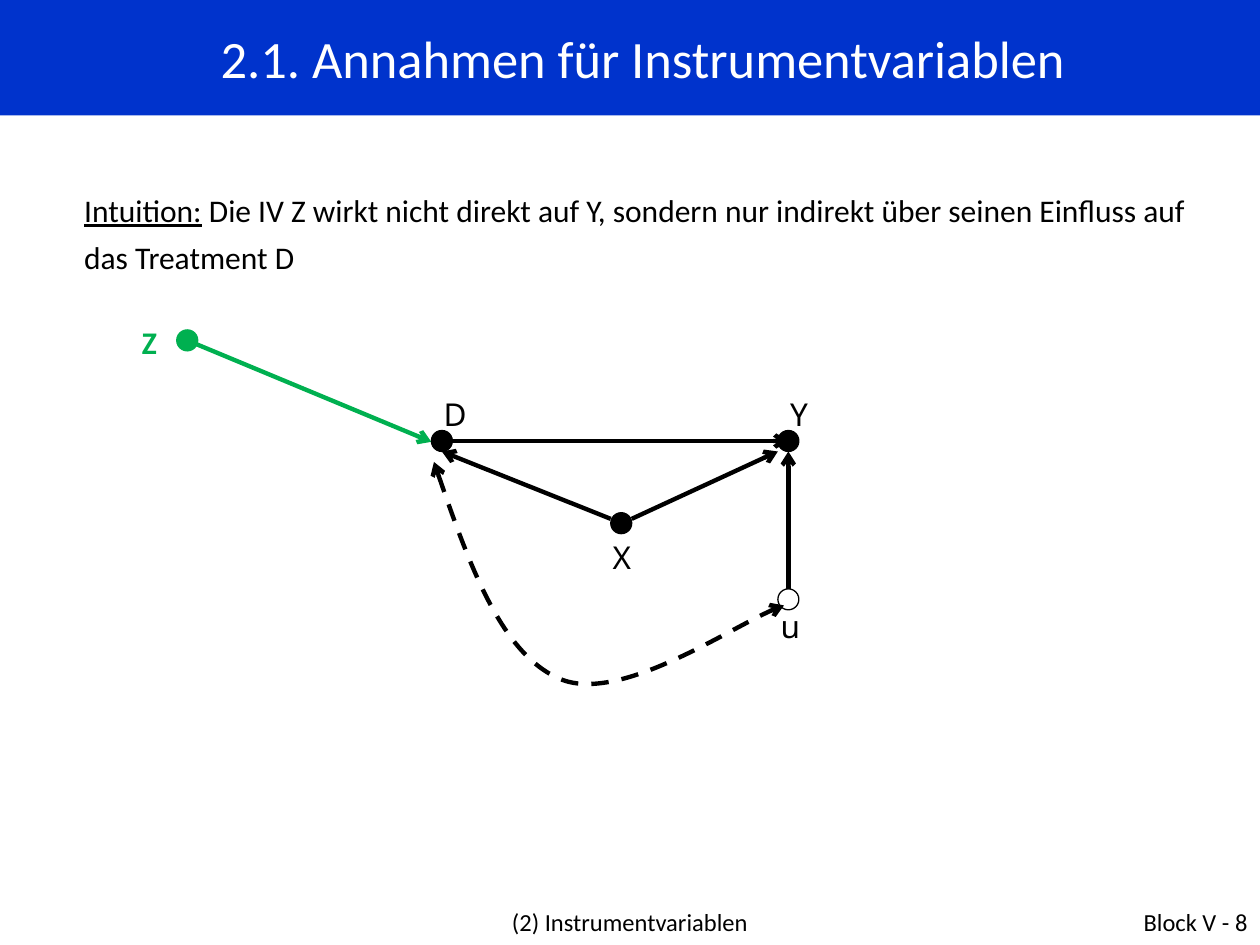
from lxml.etree import SubElement
from pptx import Presentation
from pptx.dml.color import RGBColor
from pptx.enum.dml import MSO_LINE
from pptx.enum.shapes import MSO_CONNECTOR, MSO_SHAPE
from pptx.enum.text import MSO_ANCHOR, MSO_AUTO_SIZE, PP_ALIGN
from pptx.oxml.ns import qn
from pptx.util import Pt

THEME = {
    "blue": RGBColor(0x00, 0x33, 0xCC),
    "green": RGBColor(0x00, 0xB0, 0x50),
    "black": RGBColor(0, 0, 0),
    "white": RGBColor(255, 255, 255),
    "text_font": "Calibri",
    "node_font": "Noto Sans",
    "title_size": 30,
    "body_size": 18,
    "footer_size": 14,
    "arrow_width": 2.5,
    "outline_width": 0.75,
}

TITLE = "2.1. Annahmen für Instrumentvariablen"
INTUITION = [
    ("Intuition:", {"underline": True}),
    (" Die IV Z wirkt nicht direkt auf Y, sondern nur indirekt über seinen "
     "Einfluss auf das Treatment D", {}),
]
# text, box, alignment
FOOTERS = [
    ("Block V - 8", (552, 515, 168, 37), PP_ALIGN.RIGHT),
    ("(2) Instrumentvariablen", (174, 515, 372, 37), PP_ALIGN.CENTER),
]
# node: centre, label offset from centre, fill, outline, label format
NODES = {
    "Z": ((107, 194.5), (-33, -13.5), "green", "green", {"name": THEME["text_font"], "bold": True}),
    "D": ((252.5, 252), (-6, -30), "black", "black", {}),
    "Y": ((450.5, 252), (-6, -30), "black", "black", {}),
    "X": ((355, 299), (-12, 5), "black", "black", {}),
    "u": ((450.5, 342.5), (-11.5, 1), None, "black", {}),
}
# start node, offset, end node, offset, colour
ARROWS = [
    ("Z", (0, 0), "D", (-6, 0.5), "green"),
    ("D", (0, 0), "Y", (0, 0), "black"),
    ("X", (-6, -2.5), "D", (0, 6), "black"),
    ("u", (0, -6), "Y", (0, 6), "black"),
    ("X", (6, -2.5), "Y", (-6, 6), "black"),
]
# start point, then three points for each Bézier segment
CONFOUNDING_CURVE = [
    (248.4, 264.2),
    (267.1, 319.7), (286.6, 374.4), (319.7, 388.1),
    (352.8, 401.8), (426.2, 352.8), (447.8, 345.6),
]
DOT_SIZE = 12
LABEL_SIZE = (36, 29)


def points(*values):
    return [Pt(value) for value in values]


def add_run(paragraph, text, size, color="black", **changes):
    run = paragraph.add_run()
    run.text = text
    values = {"name": THEME["text_font"], "size": Pt(size), **changes}
    for attribute, value in values.items():
        setattr(run.font, attribute, value)
    run.font.color.rgb = THEME[color]


def add_text(slide, box, runs, size, alignment=PP_ALIGN.LEFT):
    text_frame = slide.shapes.add_textbox(*points(*box)).text_frame
    text_frame.word_wrap = True
    paragraph = text_frame.paragraphs[0]
    paragraph.alignment = alignment
    for text, changes in runs:
        add_run(paragraph, text, size, **changes)
    return paragraph


def format_title(slide):
    title = slide.shapes.title
    box = dict(zip(("left", "top", "width", "height"), points(0, 0, 720, 66)))
    for attribute, value in box.items():
        setattr(title, attribute, value)
    title.fill.solid()
    title.fill.fore_color.rgb = THEME["blue"]
    frame_format = {"word_wrap": True, "auto_size": MSO_AUTO_SIZE.NONE,
                    "vertical_anchor": MSO_ANCHOR.MIDDLE}
    for attribute, value in frame_format.items():
        setattr(title.text_frame, attribute, value)
    paragraph = title.text_frame.paragraphs[0]
    paragraph.alignment = PP_ALIGN.CENTER
    properties = paragraph._p.get_or_add_pPr()
    properties.set("marL", str(Pt(37.5)))
    properties.set("indent", str(Pt(-22.5)))
    add_run(paragraph, TITLE, THEME["title_size"], "white")


def format_arrow(shape, color, ends):
    shape.line.color.rgb = THEME[color]
    shape.line.width = Pt(THEME["arrow_width"])
    for end in ends:
        SubElement(shape.line._get_or_add_ln(), qn(f"a:{end}"), type="arrow")


def add_arrow(slide, start, start_offset, end, end_offset, color):
    ends = [
        centre + shift
        for node, offset in ((start, start_offset), (end, end_offset))
        for centre, shift in zip(NODES[node][0], offset)
    ]
    connector = slide.shapes.add_connector(MSO_CONNECTOR.STRAIGHT, *points(*ends))
    format_arrow(connector, color, ["tailEnd"])
    SubElement(connector._element.spPr, qn("a:effectLst"))


def add_curve(slide, curve):
    """Build the outline from its control points, then merge each three into a Bézier."""
    builder = slide.shapes.build_freeform(*curve[0], scale=Pt(1))
    builder.add_line_segments(curve[1:], close=False)
    shape = builder.convert_to_shape()
    outline = shape._element.find(".//" + qn("a:path"))
    lines = outline.findall(qn("a:lnTo"))
    for first in range(0, len(lines), 3):
        bezier = SubElement(outline, qn("a:cubicBezTo"))
        for line in lines[first:first + 3]:
            bezier.append(line[0])
            outline.remove(line)
    shape.fill.background()
    shape.shadow.inherit = False
    shape.line.dash_style = MSO_LINE.DASH
    format_arrow(shape, "black", ["headEnd", "tailEnd"])


def add_node(slide, name, centre, label_offset, fill, outline, label_format):
    x, y = centre
    radius = DOT_SIZE / 2
    dot = slide.shapes.add_shape(
        MSO_SHAPE.OVAL, *points(x - radius, y - radius, DOT_SIZE, DOT_SIZE))
    dot.shadow.inherit = False
    if fill:
        dot.fill.solid()
        dot.fill.fore_color.rgb = THEME[fill]
    else:
        dot.fill.background()
    dot.line.color.rgb = THEME[outline]
    dot.line.width = Pt(THEME["outline_width"])
    label_box = (x + label_offset[0], y + label_offset[1], *LABEL_SIZE)
    changes = {"name": THEME["node_font"], "color": outline, **label_format}
    add_text(slide, label_box, [(name, changes)], THEME["body_size"])


def main():
    presentation = Presentation()
    presentation.slide_width, presentation.slide_height = points(720, 540)
    slide = presentation.slides.add_slide(presentation.slide_layouts[5])
    format_title(slide)
    intuition = add_text(slide, (41, 100, 649.5, 62), INTUITION, THEME["body_size"])
    intuition.line_spacing = 1.25
    for text, box, alignment in FOOTERS:
        add_text(slide, box, [(text, {})], THEME["footer_size"], alignment)
    add_curve(slide, CONFOUNDING_CURVE)
    for arrow in ARROWS:
        add_arrow(slide, *arrow)
    for name, node in NODES.items():
        add_node(slide, name, *node)
    presentation.save("out.pptx")


if __name__ == "__main__":
    main()
